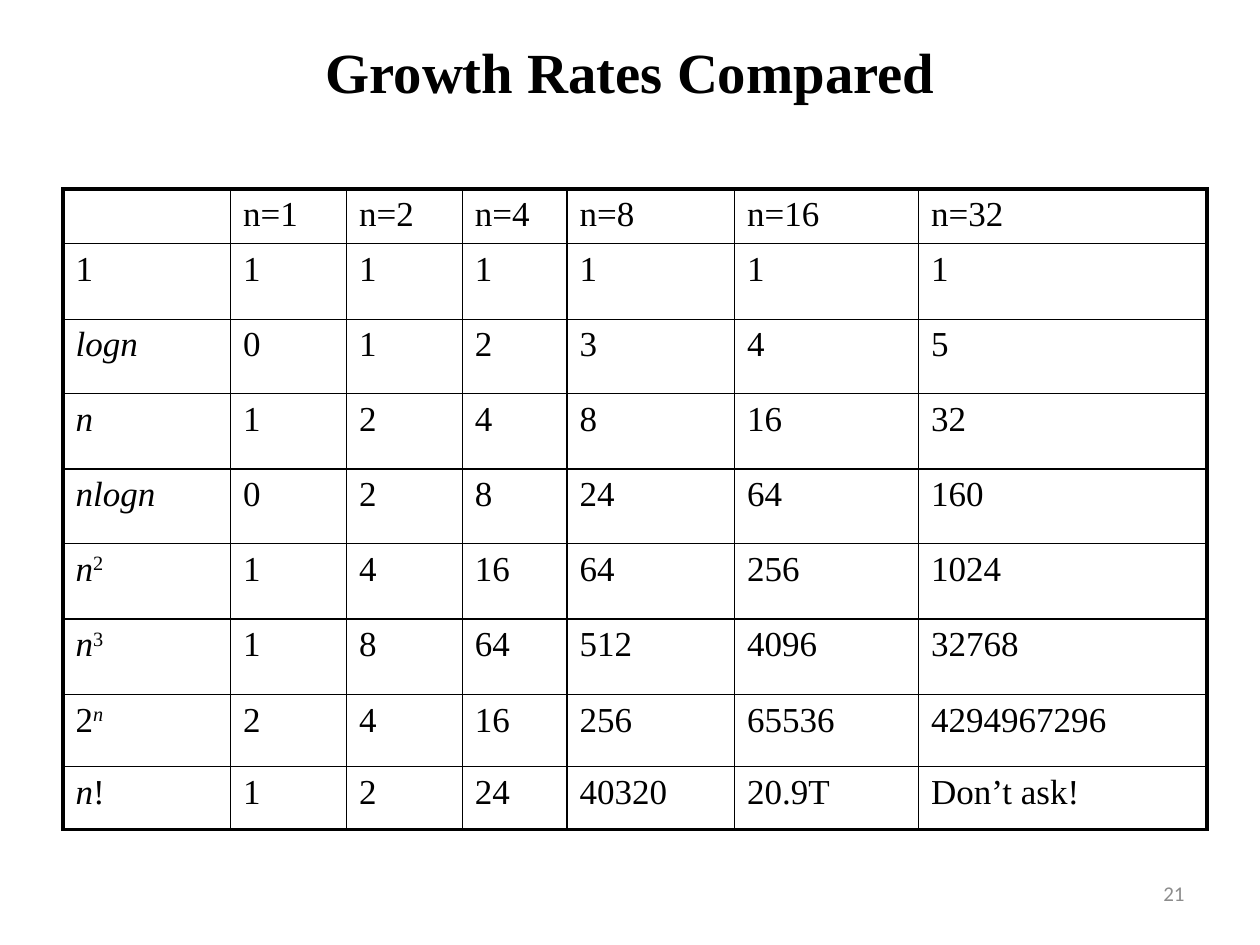
from typing import NamedTuple

from lxml.etree import SubElement
from pptx import Presentation
from pptx.dml.color import RGBColor
from pptx.enum.text import MSO_ANCHOR, MSO_AUTO_SIZE, PP_ALIGN
from pptx.oxml.ns import qn
from pptx.util import Inches, Pt

BLACK = RGBColor(0, 0, 0)
GREY = RGBColor(0x8C, 0x8C, 0x8C)
SERIF = "Times New Roman"
THIN, THICK = Pt(1), Pt(2.25)


class Part(NamedTuple):
    text: str
    italic: bool = False
    raised: bool = False


class Growth(NamedTuple):
    label: list[Part]
    values: list[str]
    height: float


N = Part("n", italic=True)
HEADS = ["n=1", "n=2", "n=4", "n=8", "n=16", "n=32"]
WIDTHS = [1.33, 0.92, 0.92, 0.83, 1.33, 1.46, 2.29]
ROWS = [
    Growth([], HEADS, 0.28),
    Growth([Part("1")], ["1"] * 6, 0.6),
    Growth([Part("logn", True)], ["0", "1", "2", "3", "4", "5"], 0.59),
    Growth([N], ["1", "2", "4", "8", "16", "32"], 0.6),
    Growth([Part("nlogn", True)], ["0", "2", "8", "24", "64", "160"], 0.59),
    Growth([N, Part("2", raised=True)],
           ["1", "4", "16", "64", "256", "1024"], 0.6),
    Growth([N, Part("3", raised=True)],
           ["1", "8", "64", "512", "4096", "32768"], 0.6),
    Growth([Part("2"), Part("n", True, True)],
           ["2", "4", "16", "256", "65536", "4294967296"], 0.57),
    Growth([N, Part("!")],
           ["1", "2", "24", "40320", "20.9T", "Don’t ask!"], 0.5),
]


def style(font, size: float, name: str, color: RGBColor) -> None:
    font.size, font.name = Pt(size), name
    font.color.rgb = color


def write(cell, parts: list[Part]) -> None:
    para = cell.text_frame.paragraphs[0]
    para.space_before = Pt(4)
    para.font.size = Pt(20)
    for part in parts:
        run = para.add_run()
        run.text = part.text
        style(run.font, 20, SERIF, BLACK)
        run.font.italic = part.italic
        if part.raised:
            run.font._element.set("baseline", "30000")


def border(cell, edges: dict[str, bool]) -> None:
    """Draw each side of a cell, thick on the outer edge of the table."""
    props = cell._tc.get_or_add_tcPr()
    for side, outer in edges.items():
        line = SubElement(props, qn(f"a:ln{side}"),
                          w=str(THICK if outer else THIN))
        fill = SubElement(line, qn("a:solidFill"))
        SubElement(fill, qn("a:srgbClr"), val=str(BLACK))
    SubElement(props, qn("a:noFill"))


def add_grid(slide) -> None:
    shape = slide.shapes.add_table(
        len(ROWS), len(WIDTHS), Inches(0.5), Inches(1.5),
        Inches(sum(WIDTHS)), Inches(sum(row.height for row in ROWS)))
    table = shape.table
    table.first_row = table.horz_banding = False
    for col, width in zip(table.columns, WIDTHS):
        col.width = Inches(width)
    for r, row in enumerate(ROWS):
        table.rows[r].height = Inches(row.height)
        cells = [row.label] + [[Part(value)] for value in row.values]
        for c, parts in enumerate(cells):
            cell = table.cell(r, c)
            write(cell, parts)
            border(cell, {"L": c == 0, "R": c == len(WIDTHS) - 1,
                          "T": r == 0, "B": r == len(ROWS) - 1})


def add_title(slide) -> None:
    title = slide.shapes.title
    title.left, title.top = Inches(0.5), Inches(0.3)
    title.width, title.height = Inches(9), Inches(0.53)
    frame = title.text_frame
    frame.text = "Growth Rates Compared"
    frame.auto_size = MSO_AUTO_SIZE.NONE
    frame.vertical_anchor = MSO_ANCHOR.MIDDLE
    para = frame.paragraphs[0]
    para.alignment = PP_ALIGN.CENTER
    font = para.runs[0].font
    style(font, 32.4, SERIF, BLACK)
    font.bold = True


def add_number(slide) -> None:
    box = slide.shapes.add_textbox(
        Inches(7.17), Inches(6.83), Inches(2.33), Inches(0.52))
    frame = box.text_frame
    frame.word_wrap = True
    frame.vertical_anchor = MSO_ANCHOR.MIDDLE
    frame.text = "21"
    para = frame.paragraphs[0]
    para.alignment = PP_ALIGN.RIGHT
    style(para.runs[0].font, 12, "Calibri", GREY)


def main() -> None:
    deck = Presentation()
    deck.slide_width, deck.slide_height = Inches(10), Inches(7.5)
    # Title-only layout
    slide = deck.slides.add_slide(deck.slide_layouts[5])
    add_number(slide)
    add_title(slide)
    add_grid(slide)
    deck.save("out.pptx")


if __name__ == "__main__":
    main()
